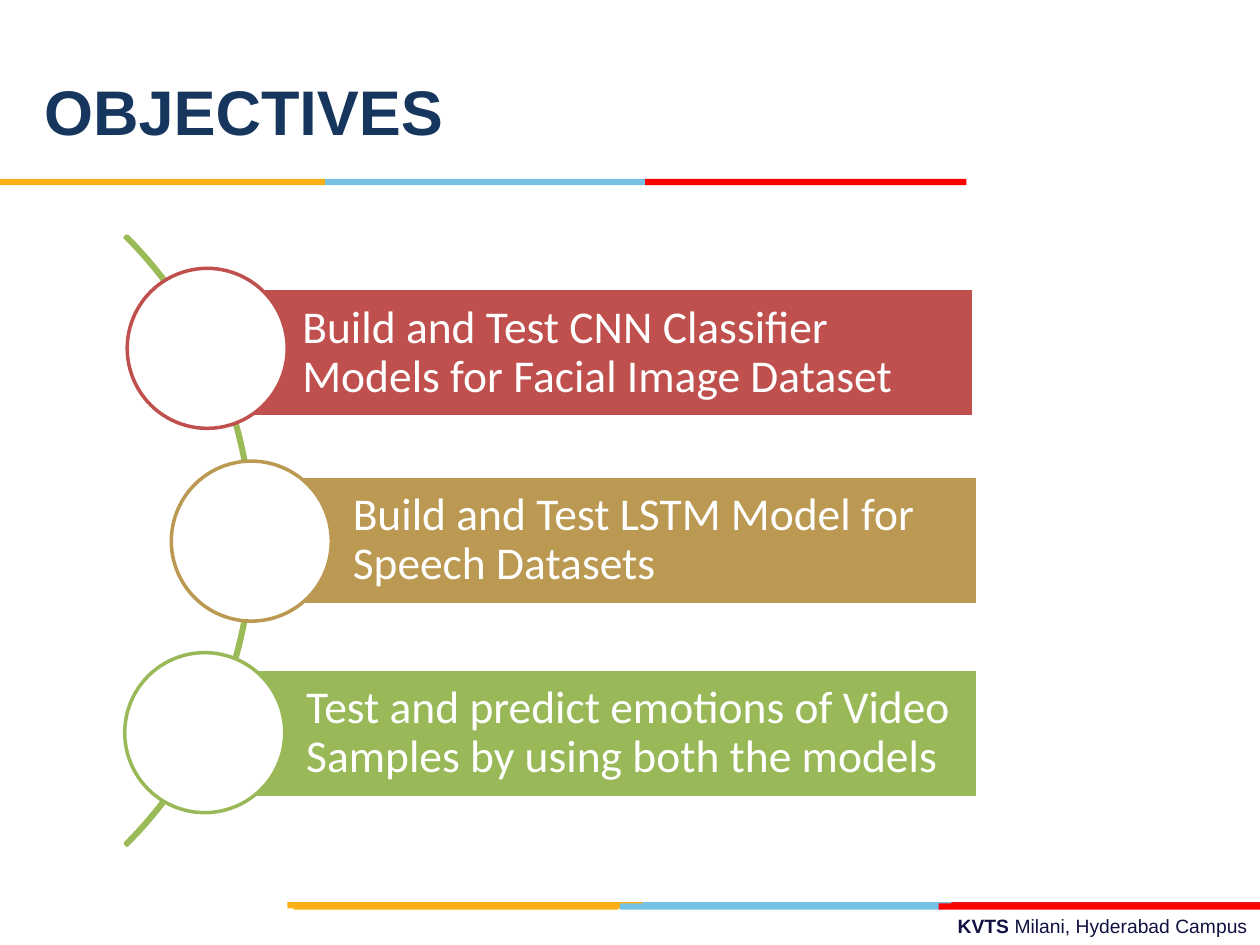
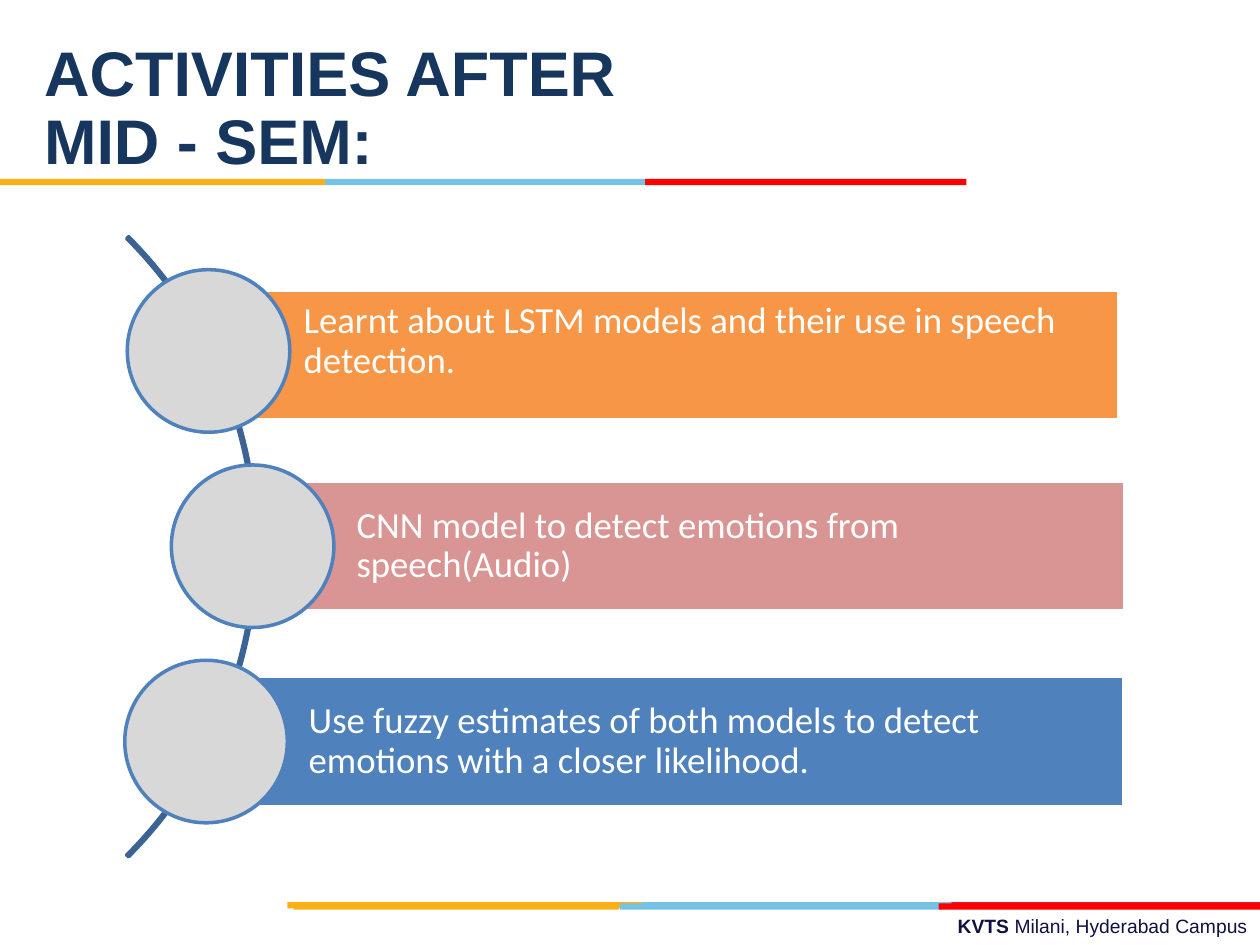
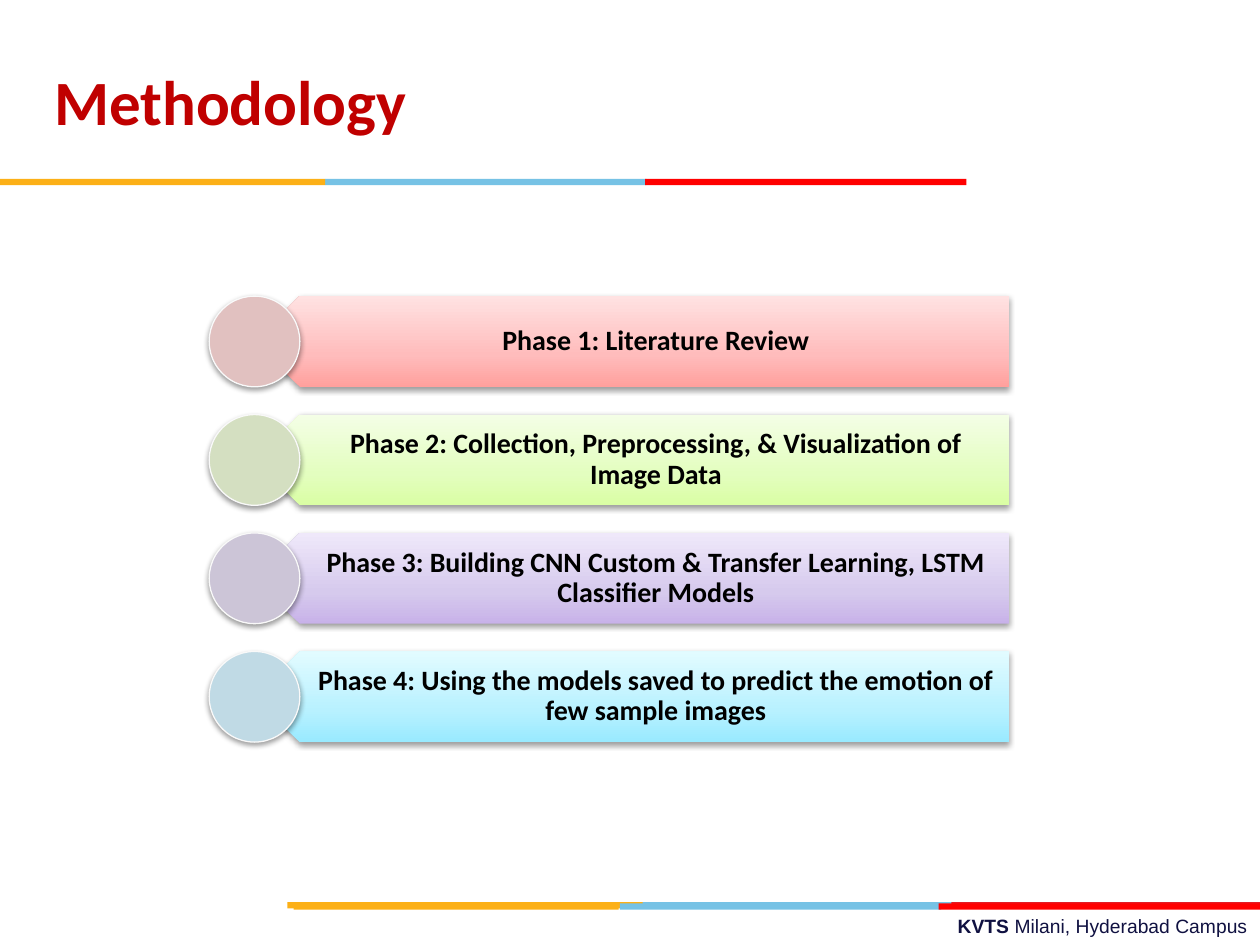
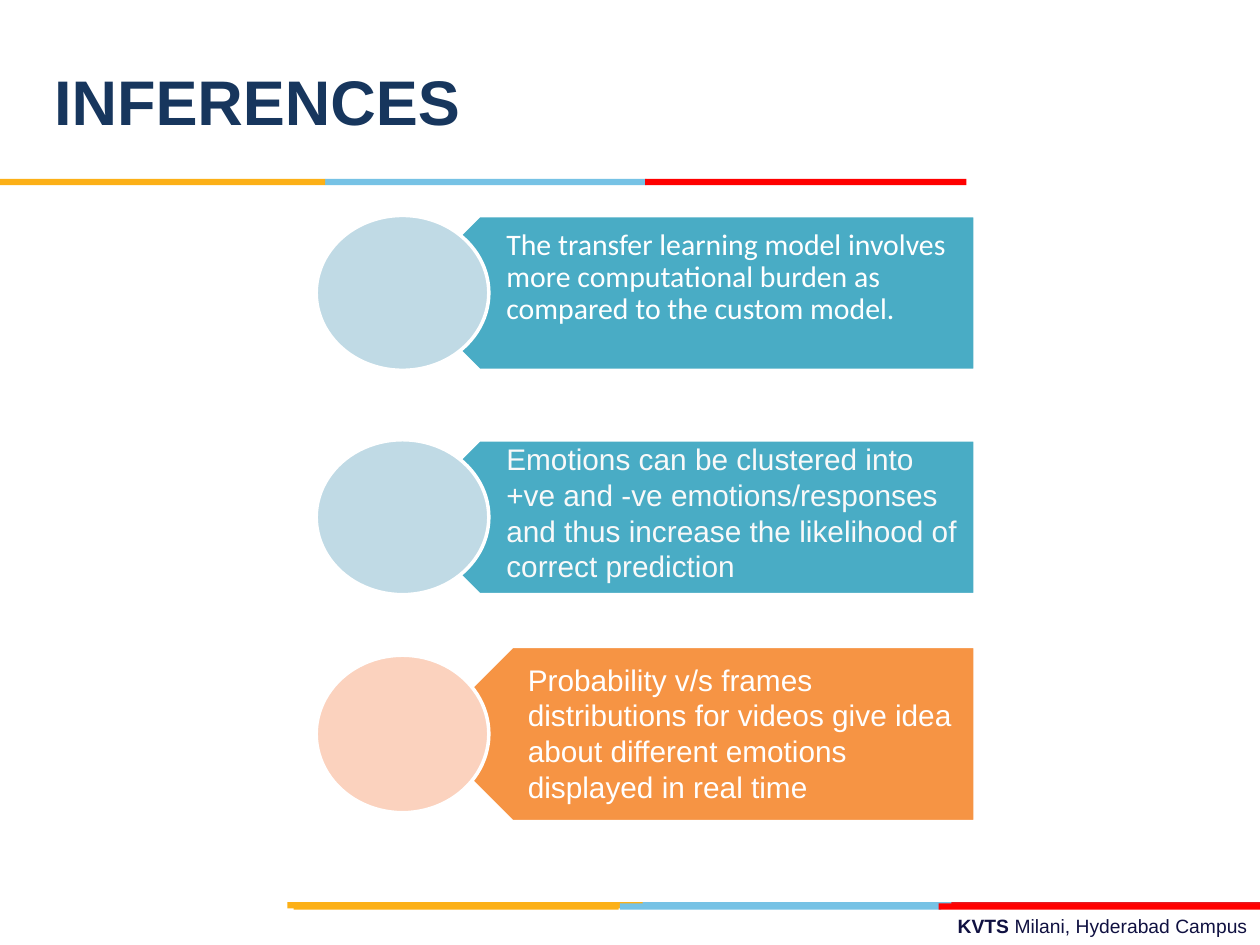
from pptx import Presentation
from pptx.dml.color import RGBColor
from pptx.enum.shapes import MSO_SHAPE
from pptx.enum.text import MSO_ANCHOR, MSO_AUTO_SIZE, PP_ALIGN
from pptx.oxml import parse_xml
from pptx.oxml.ns import nsdecls, qn
from pptx.util import Inches, Pt

WHITE = RGBColor(0xFF, 0xFF, 0xFF)
OFF_WHITE = RGBColor(0xF9, 0xF9, 0xF9)
BLACK = RGBColor(0x00, 0x00, 0x00)
NAVY = RGBColor(0x17, 0x36, 0x5D)
INK = RGBColor(0x10, 0x11, 0x41)
CRIMSON = RGBColor(0xC0, 0x00, 0x00)
YELLOW = RGBColor(0xFC, 0xB0, 0x17)
SKY = RGBColor(0x76, 0xC2, 0xE5)
RED = RGBColor(0xFF, 0x00, 0x00)
DARK_RED = RGBColor(0xE3, 0x1C, 0x24)
BRICK = RGBColor(0xBF, 0x50, 0x4D)
OCHRE = RGBColor(0xBB, 0x99, 0x52)
GREEN = RGBColor(0x99, 0xB9, 0x58)
ARC_GREEN = RGBColor(0x9B, 0xBB, 0x59)
ARC_BLUE = RGBColor(0x3B, 0x64, 0x95)
BLUE = RGBColor(0x4F, 0x81, 0xBD)
GREY = RGBColor(0xD8, 0xD8, 0xD8)
ORANGE = RGBColor(0xF7, 0x96, 0x46)
ROSE = RGBColor(0xD9, 0x95, 0x93)
TEAL = RGBColor(0x49, 0xAC, 0xC5)
TANGERINE = RGBColor(0xF6, 0x94, 0x44)
PALE_RED = RGBColor(0xE1, 0xC1, 0xC0)
PALE_GREEN = RGBColor(0xD4, 0xDF, 0xC1)
PALE_PURPLE = RGBColor(0xCC, 0xC5, 0xD7)
PALE_BLUE = RGBColor(0xC0, 0xDA, 0xE5)
PEACH = RGBColor(0xFB, 0xD2, 0xBE)

# Each band row: top, then (left, width, colour) of its segments
BAND_ROWS = [
    (7.16, [(5.06, 2.55, SKY), (7.55, 2.45, DARK_RED), (2.28, 2.82, YELLOW)]),
    (7.17, [(4.92, 2.55, SKY), (2.33, 2.58, YELLOW), (7.45, 2.55, RED)]),
    (1.42, [(2.58, 2.55, SKY), (0, 2.58, YELLOW), (5.12, 2.55, RED)]),
]
FOOTER = [("KVTS ", True), ("Milani, Hyderabad Campus", False)]

# Bars: text, (left, top, width), colour, circle (left, top), circle outline, extra bottom inset
OBJECTIVES = dict(
    arc=(-4.83, 0.87, 6.84), arc_color=ARC_GREEN, bar_height=1.02, diameter=1.27,
    circle_fill=WHITE, size=26, left_inset=0.81, inset=0.08,
    bars=[
        ("Build and Test CNN Classifier Models for Facial Image Dataset",
         (1.59, 2.29, 6.14), BRICK, (1.01, 2.13), BRICK, 0),
        ("Build and Test LSTM Model for Speech Datasets",
         (1.99, 3.78, 5.77), OCHRE, (1.36, 3.66), OCHRE, 0),
        ("Test and predict emotions of Video Samples by using both the models",
         (1.62, 5.31, 6.14), GREEN, (0.99, 5.18), GREEN, 0),
    ])
ACTIVITIES = dict(
    arc=(-4.92, 0.86, 6.96), arc_color=ARC_BLUE, bar_height=1.03, diameter=1.29,
    circle_fill=GREY, size=21, left_inset=0.82, inset=0.06,
    bars=[
        ("Learnt about LSTM models and their use in speech detection.",
         (1.59, 2.3, 7.29), ORANGE, (1.01, 2.14), BLUE, 0.21),
        ("CNN model to detect emotions from speech(Audio)",
         (2.01, 3.82, 6.92), ROSE, (1.36, 3.69), BLUE, 0),
        ("Use fuzzy estimates of both models to detect emotions with a closer likelihood.",
         (1.63, 5.37, 7.29), BLUE, (0.99, 5.24), BLUE, 0),
    ])
# Text, gradient from bottom to top, circle colour
PHASES = [
    ("Phase 1: Literature Review", ("FFA09D", "FFBCBC", "FFE2E2"), PALE_RED),
    ("Phase 2: Collection, Preprocessing, & Visualization of Image Data",
     ("DAFEA4", "E3FEBF", "F4FEE6"), PALE_GREEN),
    ("Phase 3: Building CNN Custom & Transfer Learning, LSTM Classifier Models",
     ("C8B2E9", "D6CAED", "EFE8FA"), PALE_PURPLE),
    ("Phase 4: Using the models saved to predict the emotion of few sample images",
     ("99EAFF", "B8F1FF", "E2FBFF"), PALE_BLUE),
]
# Text, font, text colour, line spacing, text box, tag (left, top, height), circle (top, height), colours
INFERENCES = [
    ("The transfer learning model involves more computational burden as compared "
     "to the custom model.", "Calibri", WHITE, 0.9, (3.92, 1.72, 3.81, 1.15),
     (3.19, 1.71, 1.23), (1.71, 1.23), TEAL, PALE_BLUE),
    ("Emotions can be clustered into +ve and -ve emotions/responses and thus increase "
     "the likelihood of correct prediction", "Arial", OFF_WHITE, None, (3.92, 3.4, 3.81, 1.15),
     (3.19, 3.49, 1.23), (3.49, 1.23), TEAL, PALE_BLUE),
    ("Probability v/s frames distributions for videos give idea about different emotions "
     "displayed in real time", "Arial", WHITE, None, (4.09, 5.15, 3.65, 1.36),
     (3.37, 5.13, 1.39), (5.2, 1.25), TANGERINE, PEACH),
]
TAG_RIGHT = 7.74


def write_text(tf, paragraphs, size, color, font="Calibri", bold=False, align=PP_ALIGN.LEFT,
               anchor=MSO_ANCHOR.TOP, spacing=None, insets=(0.1, 0.05, 0.1, 0.05)):
    """Fill a text frame; a paragraph is a string or a list of (text, bold) runs."""
    tf.word_wrap = True
    tf.auto_size = MSO_AUTO_SIZE.NONE
    tf.vertical_anchor = anchor
    tf.margin_left, tf.margin_top, tf.margin_right, tf.margin_bottom = map(Inches, insets)
    for i, runs in enumerate(paragraphs):
        p = tf.paragraphs[0] if i == 0 else tf.add_paragraph()
        p.alignment = align
        if spacing:
            p.line_spacing = spacing
        for text, is_bold in [(runs, bold)] if isinstance(runs, str) else runs:
            r = p.add_run()
            r.text = text
            r.font.name, r.font.size, r.font.bold = font, Pt(size), is_bold
            r.font.color.rgb = color


def add_shape(s, kind, box, fill=None, line=None, line_width=2):
    sp = s.shapes.add_shape(kind, *map(Inches, box))
    sp.shadow.inherit = False
    if fill is None:
        sp.fill.background()
    else:
        sp.fill.solid()
        sp.fill.fore_color.rgb = fill
    if line is None:
        sp.line.fill.background()
    else:
        sp.line.color.rgb = line
        sp.line.width = Pt(line_width)
    return sp


def set_gradient(sp, colors):
    sp.fill.solid()
    stops = "".join(f'<a:gs pos="{pos}"><a:srgbClr val="{color}"/></a:gs>'
                    for pos, color in zip((0, 35000, 100000), colors))
    gradient = parse_xml(f'<a:gradFill {nsdecls("a")} rotWithShape="1"><a:gsLst>{stops}</a:gsLst>'
                         '<a:lin ang="16200000" scaled="0"/></a:gradFill>')
    sp_pr = sp.element.spPr
    sp_pr.replace(sp_pr.find(qn("a:solidFill")), gradient)


def set_shadow(sp):
    sp.shadow.inherit = False
    sp.element.spPr.find(qn("a:effectLst")).append(parse_xml(
        f'<a:outerShdw {nsdecls("a")} blurRad="40000" dist="20000" dir="5400000" rotWithShape="0">'
        '<a:srgbClr val="000000"><a:alpha val="38000"/></a:srgbClr></a:outerShdw>'))


def add_slide(prs, title_lines, left, top, color=NAVY, font="Arial", spacing=None):
    s = prs.slides.add_slide(prs.slide_layouts.get_by_name("Title Only"))
    title = s.shapes.title
    title.left, title.top = Inches(left), Inches(top)
    title.width, title.height = Inches(6.92), Inches(1.25)
    write_text(title.text_frame, title_lines, 36, color, font=font, bold=True,
               anchor=MSO_ANCHOR.MIDDLE, spacing=spacing)
    return s


def decorate_master(prs, s):
    """Draw the bands and footer on slide s, then move them to the master."""
    footer = s.shapes.add_textbox(Inches(3.58), Inches(7.21), Inches(6.42), Inches(0.29))
    write_text(footer.text_frame, [FOOTER], 11, INK, font="Arial", align=PP_ALIGN.RIGHT)
    parts = [footer] + [add_shape(s, MSO_SHAPE.RECTANGLE, (left, top, width, 0.05), color)
                        for top, segments in BAND_ROWS for left, width, color in segments]
    tree = prs.slide_master.element.cSld.spTree
    for number, sp in enumerate(parts, 100):
        sp.element.nvSpPr.cNvPr.id = number
        tree.append(sp.element)


def draw_arc_list(s, bars, arc, arc_color, bar_height, diameter, circle_fill, size,
                  left_inset, inset):
    left, top, side = arc
    sp = add_shape(s, MSO_SHAPE.BLOCK_ARC, (left, top, side, side), line=arc_color)
    for i, value in enumerate((189, 27, 0.003)):
        sp.adjustments[i] = value
    for text, bar, color, circle, outline, extra in bars:
        sp = add_shape(s, MSO_SHAPE.RECTANGLE, (*bar, bar_height), color, WHITE)
        write_text(sp.text_frame, [text], size, WHITE, anchor=MSO_ANCHOR.MIDDLE, spacing=0.9,
                   insets=(left_inset, inset, inset, inset + extra))
        add_shape(s, MSO_SHAPE.OVAL, (*circle, diameter, diameter), circle_fill, outline)


def draw_phases(s):
    height, pitch, first_top = 0.72, 0.94, 2.35
    tip, shoulder, right = 2.02, 2.38, 8.01
    for i, (text, gradient, circle_fill) in enumerate(PHASES):
        top = first_top + i * pitch
        bottom, middle = top + height, top + height / 2
        outline = [(shoulder, bottom), (tip, middle), (shoulder, top), (right, top)]
        builder = s.shapes.build_freeform(Inches(right), Inches(bottom))
        builder.add_line_segments([(Inches(x), Inches(y)) for x, y in outline], close=True)
        sp = builder.convert_to_shape()
        set_gradient(sp, gradient)
        sp.line.fill.background()
        set_shadow(sp)
        write_text(sp.text_frame, [text], 16, BLACK, bold=True, align=PP_ALIGN.CENTER,
                   anchor=MSO_ANCHOR.MIDDLE, spacing=0.9, insets=(0.5, 0.07, 0.12, 0.07))
        circle = add_shape(s, MSO_SHAPE.OVAL, (tip - height / 2, top, height, height),
                           circle_fill, OFF_WHITE, 0.75)
        set_shadow(circle)


def draw_inferences(s):
    for text, font, color, spacing, box, tag, circle, tag_fill, circle_fill in INFERENCES:
        left, top, height = tag
        sp = add_shape(s, MSO_SHAPE.PENTAGON, (left, top, TAG_RIGHT - left, height),
                       tag_fill, WHITE)
        sp.rotation = 180
        circle_top, circle_height = circle
        add_shape(s, MSO_SHAPE.OVAL, (2.51, circle_top, 1.37, circle_height), circle_fill, WHITE)
        label = s.shapes.add_textbox(*map(Inches, box))
        write_text(label.text_frame, [text], 17, color, font=font, spacing=spacing,
                   insets=(0.1, 0.1, 0.1, 0.1))


def main():
    prs = Presentation()
    prs.slide_width, prs.slide_height = Inches(10), Inches(7.5)

    s = add_slide(prs, ["OBJECTIVES"], 0.25, 0.25)
    decorate_master(prs, s)
    draw_arc_list(s, **OBJECTIVES)

    s = add_slide(prs, ["ACTIVITIES AFTER", "MID - SEM:"], 0.25, 0.25, spacing=0.9)
    draw_arc_list(s, **ACTIVITIES)

    draw_phases(add_slide(prs, ["Methodology"], 0.33, 0.17, color=CRIMSON, font="Calibri"))
    draw_inferences(add_slide(prs, ["INFERENCES"], 0.33, 0.17))
    prs.save("out.pptx")


if __name__ == "__main__":
    main()
